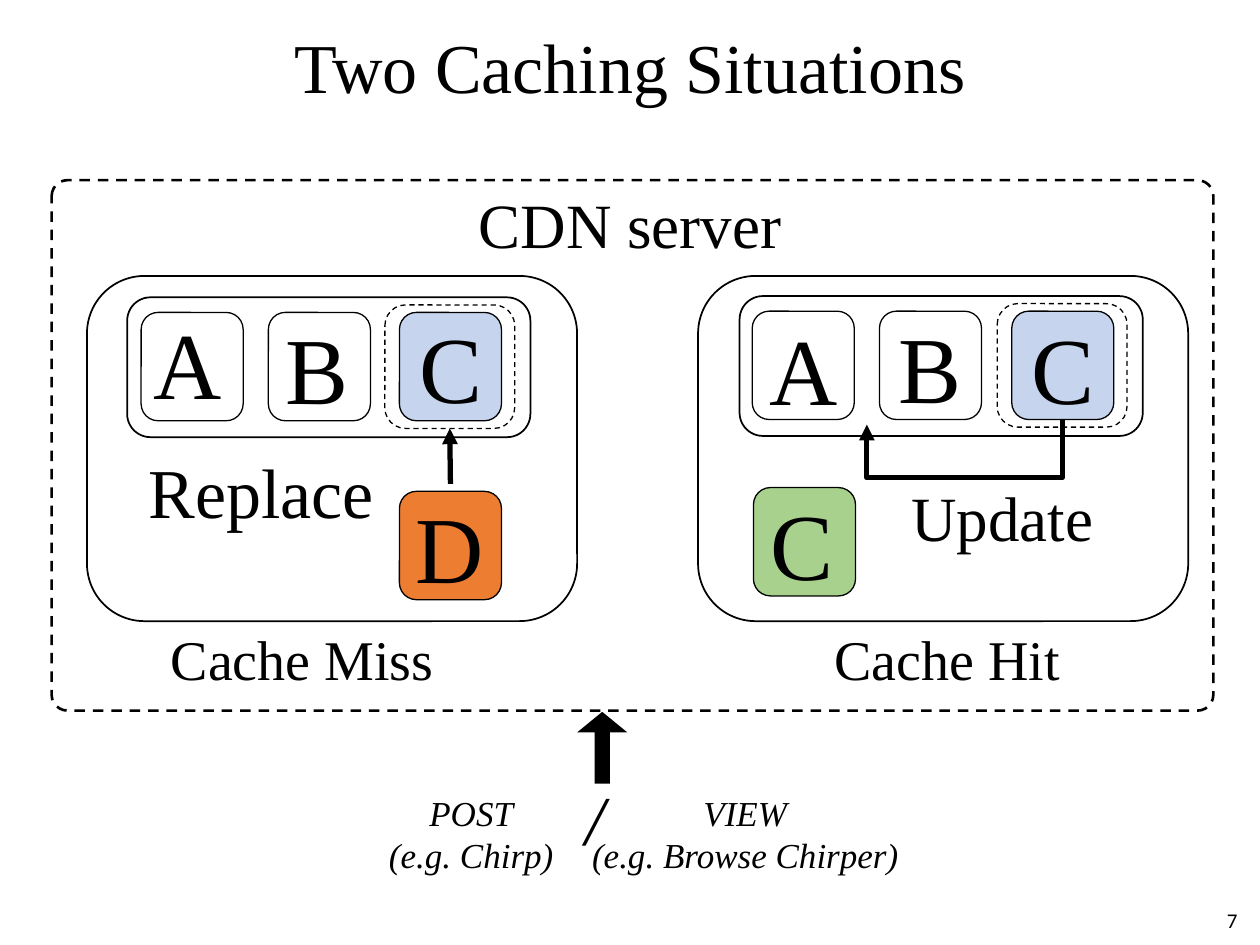
from lxml import etree
from pptx import Presentation
from pptx import util as u
from pptx.dml.color import RGBColor
from pptx.enum import dml, shapes as s, text as t
from pptx.oxml import ns

BLACK = RGBColor(0x00, 0x00, 0x00)
BLUE = RGBColor(0x8F, 0xAA, 0xDC)
ORANGE = RGBColor(0xED, 0x7D, 0x31)
GREEN = RGBColor(0xA9, 0xD1, 0x8E)
SERIF = "Times New Roman"

# The slide is a grid of 100 columns by 75 rows of square cells
WIDTH, HEIGHT = u.Inches(10), u.Inches(7.5)
CELL = WIDTH / 100
TILE = (8.1, 8.6)
LETTER = (9.8, 10.1)


def cells(*counts):
    return [u.Emu(round(count * CELL)) for count in counts]


def add_box(shapes, place, fill=None, opacity=100, line=1, dashed=False,
            preset=s.MSO_SHAPE.ROUNDED_RECTANGLE, adjustments=()):
    shape = shapes.add_shape(preset, *cells(*place))
    shape.shadow.inherit = False
    for index, value in enumerate(adjustments):
        shape.adjustments[index] = value
    if fill is None:
        shape.fill.background()
    else:
        shape.fill.solid()
        shape.fill.fore_color.rgb = fill
    if opacity < 100:
        color = shape.fill._xPr.find(".//" + ns.qn("a:srgbClr"))
        etree.SubElement(color, ns.qn("a:alpha"), val=str(opacity * 1000))
    if line:
        shape.line.color.rgb = BLACK
        shape.line.width = u.Pt(line)
        if dashed:
            shape.line.dash_style = dml.MSO_LINE.DASH
    else:
        shape.line.fill.background()
    return shape


def add_text(shapes, place, words, size, align=t.PP_ALIGN.CENTER, font=SERIF,
             italic=False, anchor=t.MSO_ANCHOR.TOP, spacing=None):
    frame = shapes.add_textbox(*cells(*place)).text_frame
    frame.word_wrap = True
    frame.vertical_anchor = anchor
    frame.text = words
    for paragraph in frame.paragraphs:
        paragraph.alignment = align
        paragraph.line_spacing = spacing
        for run in paragraph.runs:
            run.font.name = font
            run.font.size = u.Pt(size)
            run.font.italic = italic
            run.font.color.rgb = BLACK


def add_letter(shapes, left, top, letter):
    add_text(shapes, (left, top, *LETTER), letter, 54, t.PP_ALIGN.LEFT)


def add_arrow(shapes, kind, start, end):
    connector = shapes.add_connector(kind, *cells(*start, *end))
    connector.line.color.rgb = BLACK
    connector.line.width = u.Pt(3)
    line = connector.line._get_or_add_ln()
    etree.SubElement(line, ns.qn("a:tailEnd"), type="triangle")
    etree.SubElement(connector._element.spPr, ns.qn("a:effectLst"))
    return connector


def add_hook_arrow(shapes, start, end, bottom):
    """Elbow arrow that leaves downwards, runs left and points up."""
    (x1, y1), (x2, y2) = start, end
    x, y = (x1 + x2) / 2, (y1 + y2) / 2
    depth, span = y2 - y1, x1 - x2
    arrow = add_arrow(shapes, s.MSO_CONNECTOR.ELBOW,
                      (x - depth / 2, y - span / 2),
                      (x + depth / 2, y + span / 2))
    properties = arrow._element.spPr
    properties.find(ns.qn("a:xfrm")).set("rot", str(90 * 60000))
    guides = properties.find(ns.qn("a:prstGeom")).find(ns.qn("a:avLst"))
    bend = round((bottom - y1) / depth * 100000)
    etree.SubElement(guides, ns.qn("a:gd"), name="adj1", fmla=f"val {bend}")


def add_cache(shapes, panel_left, left, top, tile_lefts, letters):
    """Panel with a row of three cached tiles; returns the dashed frame."""
    add_box(shapes, (panel_left, 21.9, 38.9, 27.4))
    add_box(shapes, (left, top, 32, 11.1))
    for tile_left, fill in zip(tile_lefts, (None, None, BLUE)):
        add_box(shapes, (tile_left, top + 1.2, *TILE), fill, 50 if fill else 100, 0.75)
    frame = add_box(shapes, (left + 20.45, top + 0.6, 10.3, 9.8), line=0.75, dashed=True)
    for letter, place in zip("ABC", letters):
        add_letter(shapes, *place, letter)
    return frame


def add_new_tile(shapes, left, top, fill, letter, letter_left):
    group = shapes.add_group_shape().shapes
    add_box(group, (left, top, *TILE), fill, line=0.75)
    add_letter(group, letter_left, top - 0.65, letter)


def main():
    presentation = Presentation()
    presentation.slide_width, presentation.slide_height = WIDTH, HEIGHT
    slide = presentation.slides.add_slide(presentation.slide_layouts[6])
    shapes = slide.shapes

    # Title and page number
    add_text(shapes, (6.9, 1, 86.2, 9.3), "Two Caching Situations", 40,
             anchor=t.MSO_ANCHOR.MIDDLE, spacing=0.9)
    add_text(shapes, (76.7, 71, 22.5, 4), "7", 12, t.PP_ALIGN.RIGHT, "Calibri",
             anchor=t.MSO_ANCHOR.MIDDLE)

    # Server
    add_box(shapes, (4.1, 14.3, 92.2, 42.1), line=1.5, dashed=True, adjustments=[0.03])
    add_text(shapes, (35, 14.2, 30, 7.1), "CDN server", 36)

    # Cache miss: a new tile replaces C
    target = add_cache(shapes, 6.9, 10.1, 23.6, (11.2, 21.3, 31.7),
                       ((11.2, 23.7), (21.7, 24.1), (32.3, 24)))
    add_new_tile(shapes, 31.7, 39, ORANGE, "D", 32)
    arrow = add_arrow(shapes, s.MSO_CONNECTOR.STRAIGHT, (35.75, 38.4), (35.75, 34))
    arrow.end_connect(target, 2)
    add_text(shapes, (10, 35.1, 21.5, 7.7), "Replace", 40)
    add_text(shapes, (11, 49.1, 26, 6.4), "Cache Miss", 32)

    # Cache hit: C is updated
    add_cache(shapes, 55.4, 58.7, 23.5, (59.7, 69.8, 80.3),
              ((60.1, 24.2), (70.3, 24), (80.9, 24.1)))
    add_new_tile(shapes, 59.8, 38.7, GREEN, "C", 60.2)
    add_hook_arrow(shapes, (84.3, 33.3), (68.8, 33.7), 37.9)
    add_text(shapes, (68.4, 37.5, 22.3, 7.1), "Update", 36)
    add_text(shapes, (63.2, 49.1, 24, 6.4), "Cache Hit", 32)

    # Requests reaching the server
    add_box(shapes, (45.8, 56.5, 4, 5.7), BLACK, line=0,
            preset=s.MSO_SHAPE.UP_ARROW, adjustments=[0.3, 0.41])
    requests = shapes.add_group_shape().shapes
    add_text(requests, (28.5, 62.3, 17.8, 7.7), "POST\n(e.g. Chirp)", 20, italic=True)
    add_text(requests, (44.4, 62.3, 29.5, 7.7), "VIEW\n(e.g. Browse Chirper)", 20,
             italic=True)
    add_text(requests, (38.3, 61.1, 17.8, 7.7), "/", 40, italic=True)

    presentation.save("out.pptx")


if __name__ == "__main__":
    main()
